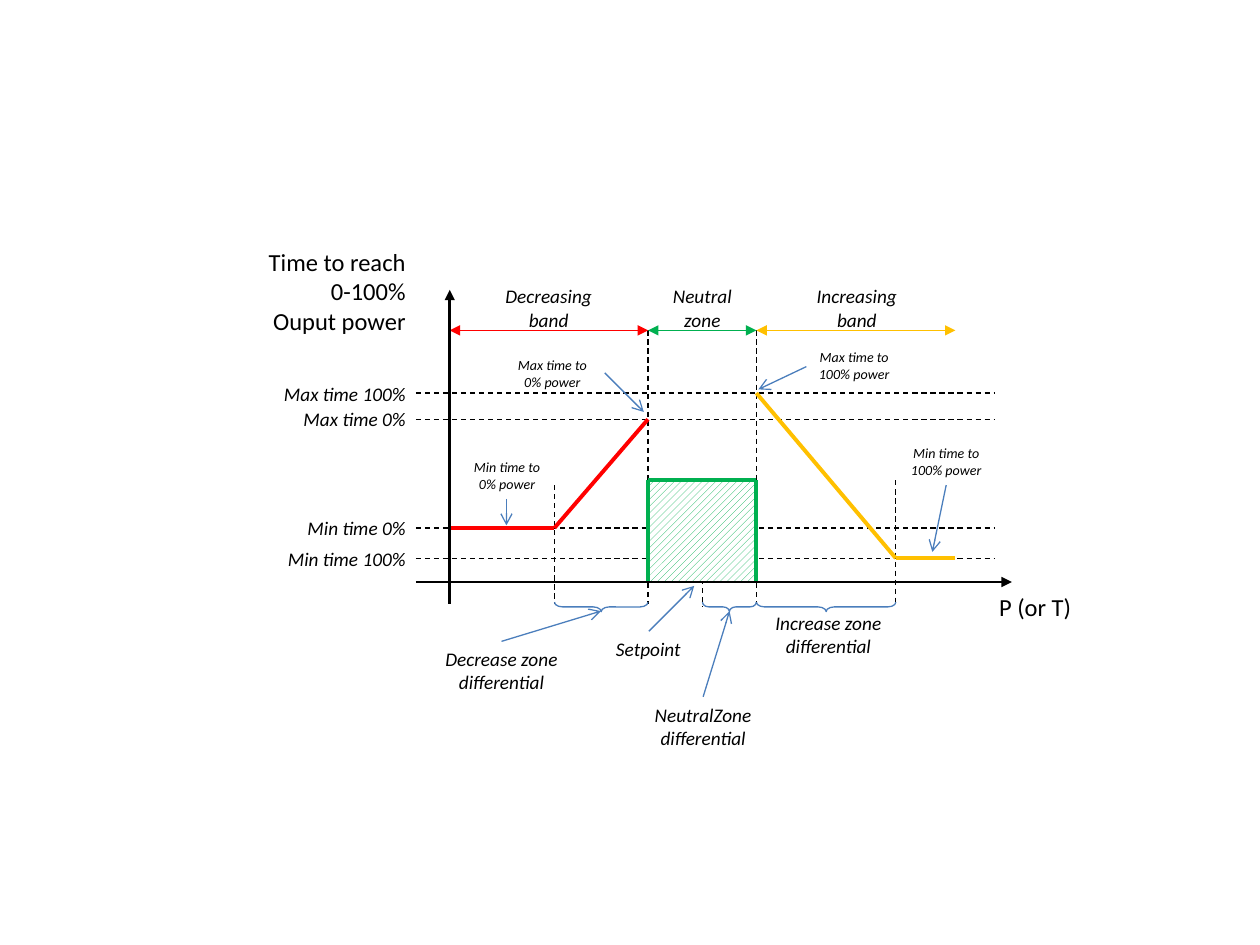
"""Build a slide charting power regulation times around a setpoint."""
from lxml import etree
from pptx import Presentation
from pptx.dml.color import RGBColor
from pptx.enum.dml import MSO_LINE, MSO_PATTERN
from pptx.enum.shapes import MSO_CONNECTOR, MSO_SHAPE
from pptx.enum.text import MSO_AUTO_SIZE, PP_ALIGN
from pptx.oxml.ns import qn
from pptx.util import Pt

STRAIGHT = MSO_CONNECTOR.STRAIGHT
DASH = MSO_LINE.DASH
HATCH = MSO_PATTERN.WIDE_UPWARD_DIAGONAL
RECTANGLE, BRACE = MSO_SHAPE.RECTANGLE, MSO_SHAPE.RIGHT_BRACE
LEFT, CENTER, RIGHT = PP_ALIGN.LEFT, PP_ALIGN.CENTER, PP_ALIGN.RIGHT
FIT = MSO_AUTO_SIZE.SHAPE_TO_FIT_TEXT
COLORS = {
    "black": "000000", "white": "FFFFFF", "red": "FF0000",
    "amber": "FFC000", "green": "00B050", "blue": "4B7EBC",
}

axis_x, axis_y = 257, 332.6
grid_left, grid_right = 237.6, 568.8
decrease_x, neutral_left, setpoint_x, neutral_right, increase_x = 316.8, 370.3, 401.4, 432.2, 511.9
band_end = 546
band_y, neutral_top, drop_y, brace_y = 188.8, 274.5, 344.9, 346.8
max_100, max_0, min_0, min_100 = 224.6, 239.6, 301.7, 319

deck = Presentation()
deck.slide_width, deck.slide_height = Pt(720), Pt(540)
page = deck.slides.add_slide(deck.slide_layouts[6])


def add_line(start, end, color, width=0.75, dashed=False, head=None, tail=None):
    line = page.shapes.add_connector(STRAIGHT, *(Pt(value) for value in (*start, *end)))
    line.line.color.rgb = RGBColor.from_string(COLORS[color])
    line.line.width = Pt(width)
    if dashed:
        line.line.dash_style = DASH
    outline = line.line._get_or_add_ln()
    for tag, kind in (("a:headEnd", head), ("a:tailEnd", tail)):
        if kind:
            etree.SubElement(outline, qn(tag), type=kind)
    etree.SubElement(line._element.spPr, qn("a:effectLst"))


def add_label(text, left, top, width, height, size=11, align=CENTER, italic=True):
    box = page.shapes.add_textbox(Pt(left), Pt(top), Pt(width), Pt(height))
    frame = box.text_frame
    frame.word_wrap = False
    frame.auto_size = FIT
    frame.text = text
    for para in frame.paragraphs:
        para.alignment = align
        para.font.name = "Calibri"
        para.font.size = Pt(size)
        para.font.italic = italic
        para.font.color.rgb = RGBColor.from_string(COLORS["black"])


for level in (max_100, max_0, min_0, min_100):
    add_line((grid_left, level), (grid_right, level), "black", dashed=True)
for x, top, bottom in (
    (decrease_x, 277.2, drop_y),
    (neutral_left, band_y, drop_y),
    (setpoint_x, 315.4, 347),
    (neutral_right, band_y, drop_y),
    (increase_x, neutral_top, drop_y),
):
    add_line((x, top), (x, bottom), "black", dashed=True)

zone = page.shapes.add_shape(
    RECTANGLE, Pt(neutral_left), Pt(neutral_top),
    Pt(neutral_right - neutral_left), Pt(axis_y - neutral_top))
zone.shadow.inherit = False
zone.fill.patterned()
zone.fill.pattern = HATCH
zone.fill.fore_color.rgb = RGBColor.from_string(COLORS["green"])
zone.fill.back_color.rgb = RGBColor.from_string(COLORS["white"])
zone.line.fill.background()

curves = {
    "red": [(axis_x, min_0), (decrease_x, min_0), (neutral_left, max_0)],
    "amber": [(neutral_right, max_100), (increase_x, min_100), (band_end, min_100)],
    "green": [(neutral_left, axis_y), (neutral_left, neutral_top),
              (neutral_right, neutral_top), (neutral_right, axis_y)],
}
for color, points in curves.items():
    for start, end in zip(points, points[1:]):
        add_line(start, end, color, 2.25)

for color, left, right in (
    ("red", axis_x, neutral_left),
    ("amber", neutral_right, band_end),
    ("green", neutral_left, neutral_right),
):
    add_line((left, band_y), (right, band_y), color, head="triangle", tail="triangle")

add_line((axis_x, drop_y), (axis_x, 165.6), "black", 1.5, tail="triangle")
add_line((grid_left, axis_y), (578.2, axis_y), "black", 1.5, tail="triangle")

brace_depth = 5.4
for left, right, curl, middle in (
    (decrease_x, neutral_left, 0.85, 0.5),
    (setpoint_x, neutral_right, 0.67, 0.5),
    (neutral_right, increase_x, 0.85, 0.5),
):
    span = right - left
    brace = page.shapes.add_shape(
        BRACE, Pt((left + right - brace_depth) / 2), Pt(brace_y - span / 2),
        Pt(brace_depth), Pt(span))
    brace.rotation = 90
    brace.adjustments[0], brace.adjustments[1] = curl, middle
    brace.shadow.inherit = False
    brace.fill.background()
    brace.line.color.rgb = RGBColor.from_string(COLORS["blue"])
    brace.line.width = Pt(0.75)

for start, end in (
    ((370.8, 360.7), (396.7, 334.8)),
    ((401.8, 398.2), (416.9, 349.2)),
    ((286.6, 366.5), (343.4, 349.2)),
    ((460.8, 209.5), (433.4, 222.5)),
    ((540.7, 277.2), (532.8, 315.4)),
    ((289.4, 285.1), (289.4, 300.2)),
    ((345.6, 213.1), (367.9, 235.4)),
):
    add_line(start, end, "blue", tail="arrow")

add_label("Time to reach\n0-100%\nOuput power", 145.4, 137.5, 93.6, 58.3, 14, RIGHT, False)
add_label("P (or T)", 563.8, 334.8, 56.2, 24.5, 14, LEFT, False)

for text, top in (
    ("Max time 100%", 214.6), ("Max time 0%", 229),
    ("Min time 0%", 291.6), ("Min time 100%", 308.9),
):
    add_label(text, 154, top, 85, 20.9, align=RIGHT)

for text, left, top, width in (
    ("Decreasing\nband", 281.5, 159.1, 64.1),
    ("Neutral\nzone", 377.3, 159.1, 48.2),
    ("Increasing\nband", 459.4, 159.1, 60.5),
    ("Decrease zone\ndifferential", 247, 366.5, 79.2),
    ("Increase zone\ndifferential", 435.6, 345.6, 75.6),
    ("NeutralZone\ndifferential", 366.5, 398.2, 70.6),
):
    add_label(text, left, top, width, 34.5)
add_label("Setpoint", 344.9, 360.7, 51.8, 20.9, align=LEFT)

for text, left, top, width in (
    ("Max time to\n0% power", 285.8, 200.2, 59.8),
    ("Max time to\n100% power", 460.8, 195.8, 54.7),
    ("Min time to\n0% power", 263.5, 258.5, 52.6),
    ("Min time to\n100% power", 513.4, 250.6, 54.7),
):
    add_label(text, left, top, width, 26.6, size=8)

deck.save("out.pptx")
